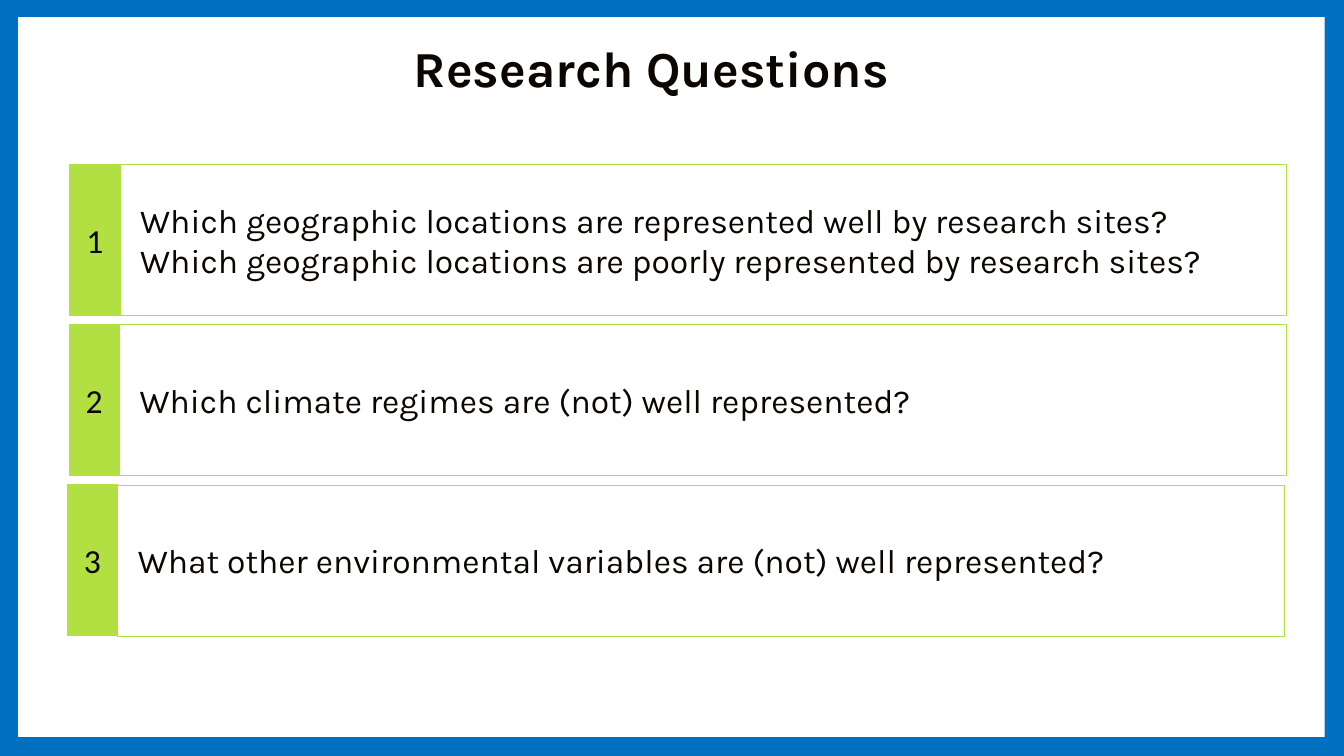
from pptx import Presentation
from pptx.dml.color import RGBColor
from pptx.enum.shapes import MSO_SHAPE as Shape
from pptx.enum.text import MSO_ANCHOR as Anchor, MSO_AUTO_SIZE as AutoSize, PP_ALIGN as Align
from pptx.util import Inches, Pt

WIDTH, HEIGHT = Inches(13.33), Inches(7.5)
BLUE, WHITE, GREEN, INK = "0070C0", "FFFFFF", "B2DF41", "0C0600"

# Rows, in percent of the slide's size
FIRST_TOP, ROW_PITCH, ROW_HEIGHT = 21.73, 21.2, 20
TAB_WIDTH, QUESTION_WIDTH = 3.75, 86.8

# Left edge of each row and its question
QUESTIONS = [
    (5.18, "Which geographic locations are represented well by research sites? "
           "Which geographic locations are poorly represented by research sites?"),
    (5.14, "Which climate regimes are (not) well represented?"),
    (5.0, "What other environmental variables are (not) well represented?"),
]


def color(value):
    return RGBColor.from_string(value)


def area(left, top, width, height):
    """Turn percent of the slide's size into lengths."""
    return [round(share * full / 100) for share, full in
            zip((left, top, width, height), (WIDTH, HEIGHT, WIDTH, HEIGHT))]


def add_box(shapes, place, fill, line=None, line_width=0.75):
    box = shapes.add_shape(Shape.RECTANGLE, *area(*place))
    box.shadow.inherit = False
    box.fill.solid()
    box.fill.fore_color.rgb = color(fill)
    if line:
        box.line.color.rgb = color(line)
        box.line.width = Pt(line_width)
    else:
        box.line.fill.background()
    return box


def write(shape, text, font, size=24, align=Align.CENTER, bold=False, inset=0.1):
    frame = shape.text_frame
    frame_format = {
        "text": text, "word_wrap": True, "auto_size": AutoSize.NONE,
        "vertical_anchor": Anchor.MIDDLE,
        "margin_left": Inches(inset), "margin_right": Inches(inset),
    }
    for name, value in frame_format.items():
        setattr(frame, name, value)
    paragraph = frame.paragraphs[0]
    paragraph.alignment = align
    run_font = paragraph.runs[0].font
    for name, value in {"name": font, "size": Pt(size), "bold": bold}.items():
        setattr(run_font, name, value)
    run_font.color.rgb = color(INK)


def add_frame(slide):
    frame = slide.shapes.add_group_shape()
    add_box(frame.shapes, (0, 0, 100, 100), BLUE)
    add_box(frame.shapes, (1.35, 2.27, 97.22, 95.2), WHITE)


def add_title(slide, text):
    title = slide.shapes.title
    title.left, title.top, title.width, title.height = area(16.88, 4.4, 63.17, 8.93)
    write(title, text, "Karla", size=36, bold=True)
    # Bring the title in front of the frame
    slide.shapes.element.append(title.element)


def add_question(slide, row, left, text):
    top = FIRST_TOP + row * ROW_PITCH
    question = add_box(slide.shapes, (left + TAB_WIDTH, top, QUESTION_WIDTH, ROW_HEIGHT),
                       WHITE, GREEN, 0.25)
    write(question, text, "Karla", align=Align.LEFT, inset=0.2)
    number = add_box(slide.shapes, (left, top, TAB_WIDTH, ROW_HEIGHT), GREEN, GREEN)
    write(number, str(row + 1), "Calibri")


def main():
    deck = Presentation()
    deck.slide_width, deck.slide_height = WIDTH, HEIGHT
    slide = deck.slides.add_slide(deck.slide_layouts[5])

    # Blue border and heading
    add_frame(slide)
    add_title(slide, "Research Questions")

    # Numbered questions
    for row, (left, text) in enumerate(QUESTIONS):
        add_question(slide, row, left, text)

    deck.save("out.pptx")


if __name__ == "__main__":
    main()
